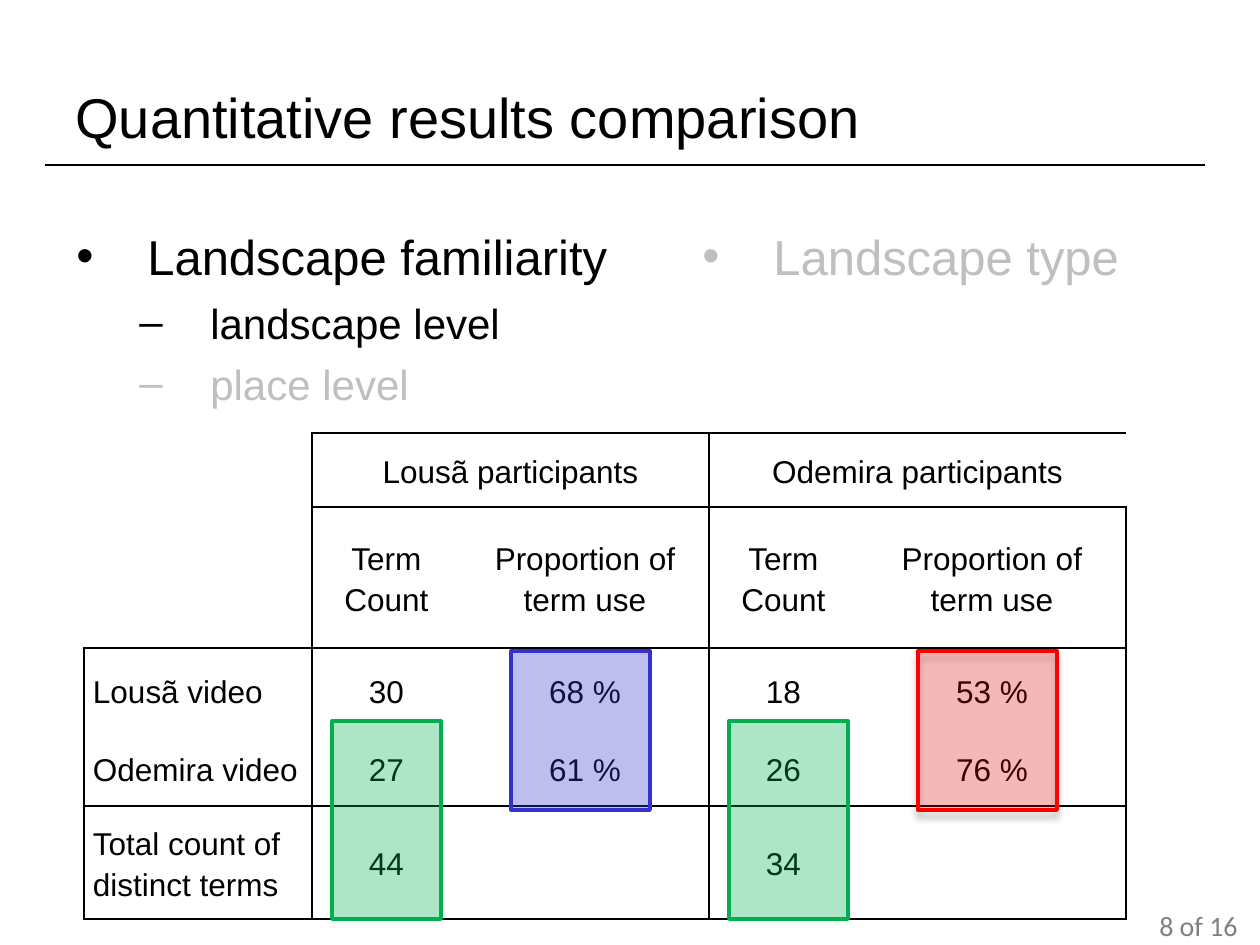
from lxml import etree
from pptx import Presentation
from pptx import util as u
from pptx.dml.color import RGBColor
from pptx.enum import shapes, text
from pptx.oxml import ns

EMU_PER_PX = 914400 / 126
BLACK = RGBColor(0x00, 0x00, 0x00)
WHITE = RGBColor(0xFF, 0xFF, 0xFF)
FADED = RGBColor(0xBF, 0xBF, 0xBF)
GRAY = RGBColor(0x80, 0x80, 0x80)
BLUE = RGBColor(0x33, 0x33, 0xCC)
RED = RGBColor(0xFF, 0x00, 0x00)
GREEN = RGBColor(0x00, 0xB0, 0x50)

COLUMN_WIDTHS = (228, 149, 248, 149, 268)
ROW_HEIGHTS = (74, 141, 83, 75, 113)
RESULTS = (
    ("", "Lousã participants", "", "Odemira participants", ""),
    ("", "Term Count", "Proportion of term use", "Term Count", "Proportion of term use"),
    ("Lousã video", "30", "68 %", "18", "53 %"),
    ("Odemira video", "27", "61 %", "26", "76 %"),
    ("Total count of distinct terms", "44", "", "34", ""),
)


def px(value):
    return u.Emu(round(value * EMU_PER_PX))


def child(parent, tag, **attributes):
    element = etree.SubElement(parent, ns.qn(tag))
    for name, value in attributes.items():
        element.set(name, str(value))
    return element


def style(para, size, color, font="Arial"):
    for span in para.runs:
        span.font.size = u.Pt(size)
        span.font.name = font
        span.font.color.rgb = color


def add_text_box(page, left, top, width, height):
    frame = page.shapes.add_textbox(px(left), px(top), px(width), px(height)).text_frame
    frame.word_wrap = True
    return frame


def add_title(page, words):
    frame = add_text_box(page, 63, 38, 1134, 157)
    frame.vertical_anchor = text.MSO_ANCHOR.MIDDLE
    frame.text = words
    style(frame.paragraphs[0], 32, BLACK)


def add_rule(page, left, right, y):
    rule = page.shapes.add_connector(
        shapes.MSO_CONNECTOR.STRAIGHT, px(left), px(y), px(right), px(y))
    rule.line.color.rgb = BLACK
    rule.line.width = u.Pt(0.75)
    child(rule._element.spPr, "a:effectLst")


def add_bullets(page, left, top, width, height, items):
    """Each item holds words, level and colour."""
    frame = add_text_box(page, left, top, width, height)
    for index, (words, level, color) in enumerate(items):
        para = frame.add_paragraph() if index else frame.paragraphs[0]
        para.text = words
        para.level = level
        properties = para._p.get_or_add_pPr()
        properties.set("marL", str(px(134 if level else 71)))
        properties.set("indent", str(px(-71)))
        child(properties, "a:buFont", typeface="Arial")
        child(properties, "a:buChar", char="–" if level else "•")
        if index:
            para.space_before = u.Pt(7 if index == 1 else 6)
        style(para, 24 if level else 28, color)


def cell_edges(row, column):
    """Sides with a border; the top left corner of the table stays open."""
    if column == 0 and row < 2:
        return {"R", "B"} if row == 1 else {"R"}
    rules = (("L", column in (0, 1, 3)), ("R", column in (0, 2, 4)),
             ("T", row != 3), ("B", row != 2))
    return {side for side, drawn in rules if drawn}


def set_borders(cell, edges):
    properties = cell._tc.get_or_add_tcPr()
    for side in "LRTB":
        line = child(properties, f"a:ln{side}", w=u.Pt(1))
        if side in edges:
            child(child(line, "a:solidFill"), "a:srgbClr", val=BLACK)
        else:
            child(line, "a:noFill")


def fill_cell(cell, words, centered):
    cell.fill.solid()
    cell.fill.fore_color.rgb = WHITE
    cell.vertical_anchor = text.MSO_ANCHOR.MIDDLE
    cell.margin_left = cell.margin_right = px(9)
    cell.margin_top = cell.margin_bottom = 0
    cell.text = words
    para = cell.text_frame.paragraphs[0]
    para.line_spacing = 1.15
    para.alignment = text.PP_ALIGN.CENTER if centered else text.PP_ALIGN.LEFT
    style(para, 18, BLACK)


def add_results_table(page, left, top):
    table = page.shapes.add_table(
        len(ROW_HEIGHTS), len(COLUMN_WIDTHS), px(left), px(top),
        px(sum(COLUMN_WIDTHS)), px(sum(ROW_HEIGHTS))).table
    table.first_row = table.horz_banding = False
    for column, width in zip(table.columns, COLUMN_WIDTHS):
        column.width = px(width)
    for row, height in zip(table.rows, ROW_HEIGHTS):
        row.height = px(height)
    for row, values in enumerate(RESULTS):
        for column, words in enumerate(values):
            cell = table.cell(row, column)
            set_borders(cell, cell_edges(row, column))
            fill_cell(cell, words, centered=column > 0)
    for column in (1, 3):
        heading = table.cell(0, column)
        heading.merge(table.cell(0, column + 1))


def add_highlight(page, left, top, width, height, color, opacity, shadow=False):
    box = page.shapes.add_shape(
        shapes.MSO_SHAPE.RECTANGLE, px(left), px(top), px(width), px(height))
    box.shadow.inherit = False
    box.fill.solid()
    box.fill.fore_color.rgb = color
    tint = box._element.spPr.find(ns.qn("a:solidFill"))[0]
    child(tint, "a:alpha", val=opacity * 1000)
    box.line.color.rgb = color
    box.line.width = u.Pt(2.25)
    if shadow:
        effects = box._element.spPr.find(ns.qn("a:effectLst"))
        outer = child(effects, "a:outerShdw", blurRad=u.Pt(4), dist=u.Pt(4),
                      dir=90 * 60000, rotWithShape=0)
        child(child(outer, "a:srgbClr", val=BLACK), "a:alpha", val=25000)


def add_page_number(page, words):
    frame = add_text_box(page, 1137, 902, 123, 47)
    frame.text = words
    frame.paragraphs[0].alignment = text.PP_ALIGN.CENTER
    style(frame.paragraphs[0], 16, GRAY, "Calibri")


def main():
    deck = Presentation()
    deck.slide_width, deck.slide_height = px(1260), px(945)
    page = deck.slides.add_slide(deck.slide_layouts[6])
    add_title(page, "Quantitative results comparison")
    add_rule(page, 45, 1205, 165)
    add_bullets(page, 64, 220, 566, 190, (
        ("Landscape familiarity", 0, BLACK),
        ("landscape level", 1, BLACK),
        ("place level", 1, FADED),
    ))
    add_bullets(page, 690, 220, 515, 79, (("Landscape type", 0, FADED),))
    add_results_table(page, 84, 433)
    add_highlight(page, 511, 651, 139, 159, BLUE, 32)
    add_highlight(page, 918, 651, 139, 159, RED, 23, shadow=True)
    add_highlight(page, 332, 721, 109, 198, GREEN, 32)
    add_highlight(page, 729, 721, 119, 198, GREEN, 32)
    add_page_number(page, "8 of 16")
    deck.save("out.pptx")


if __name__ == "__main__":
    main()
